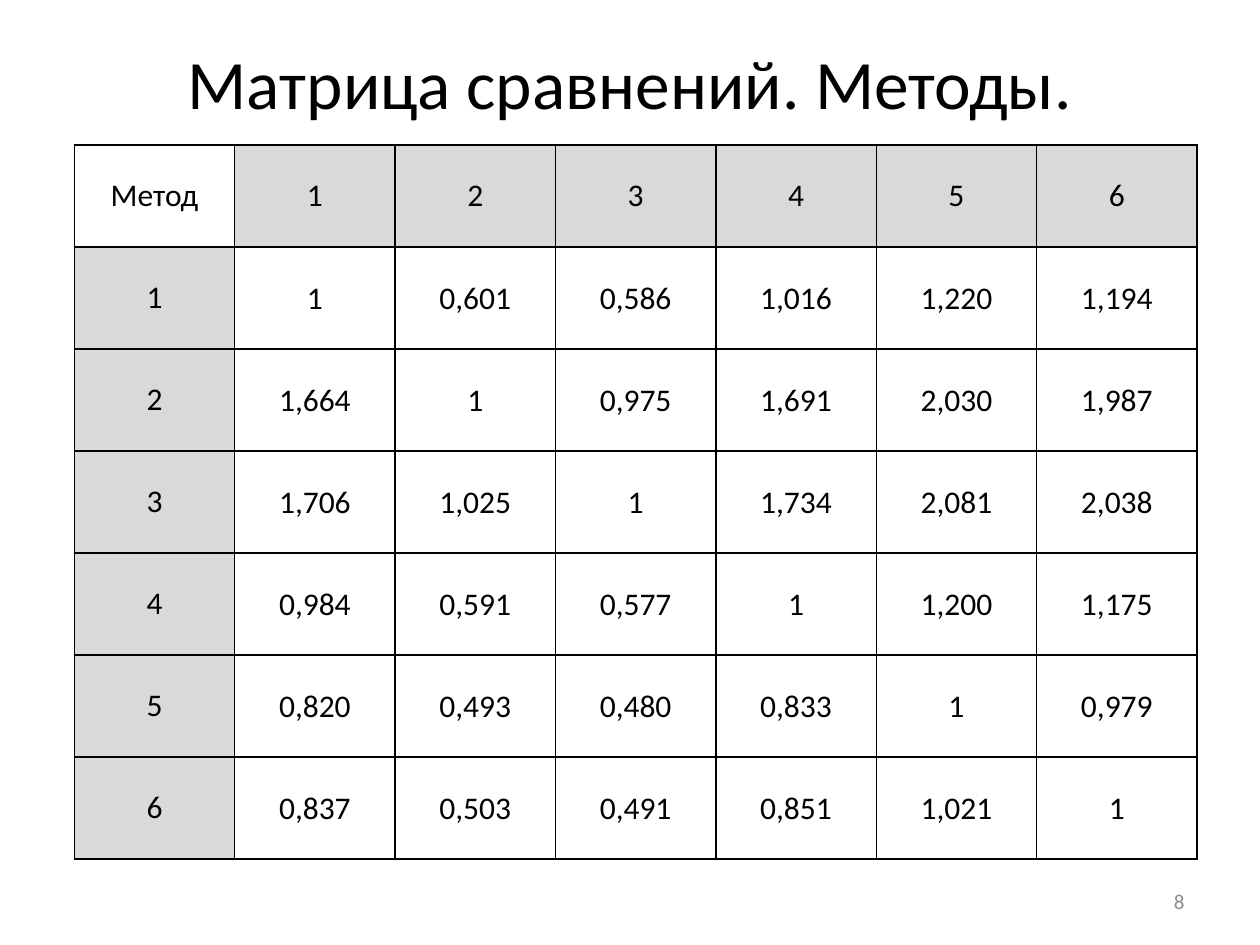
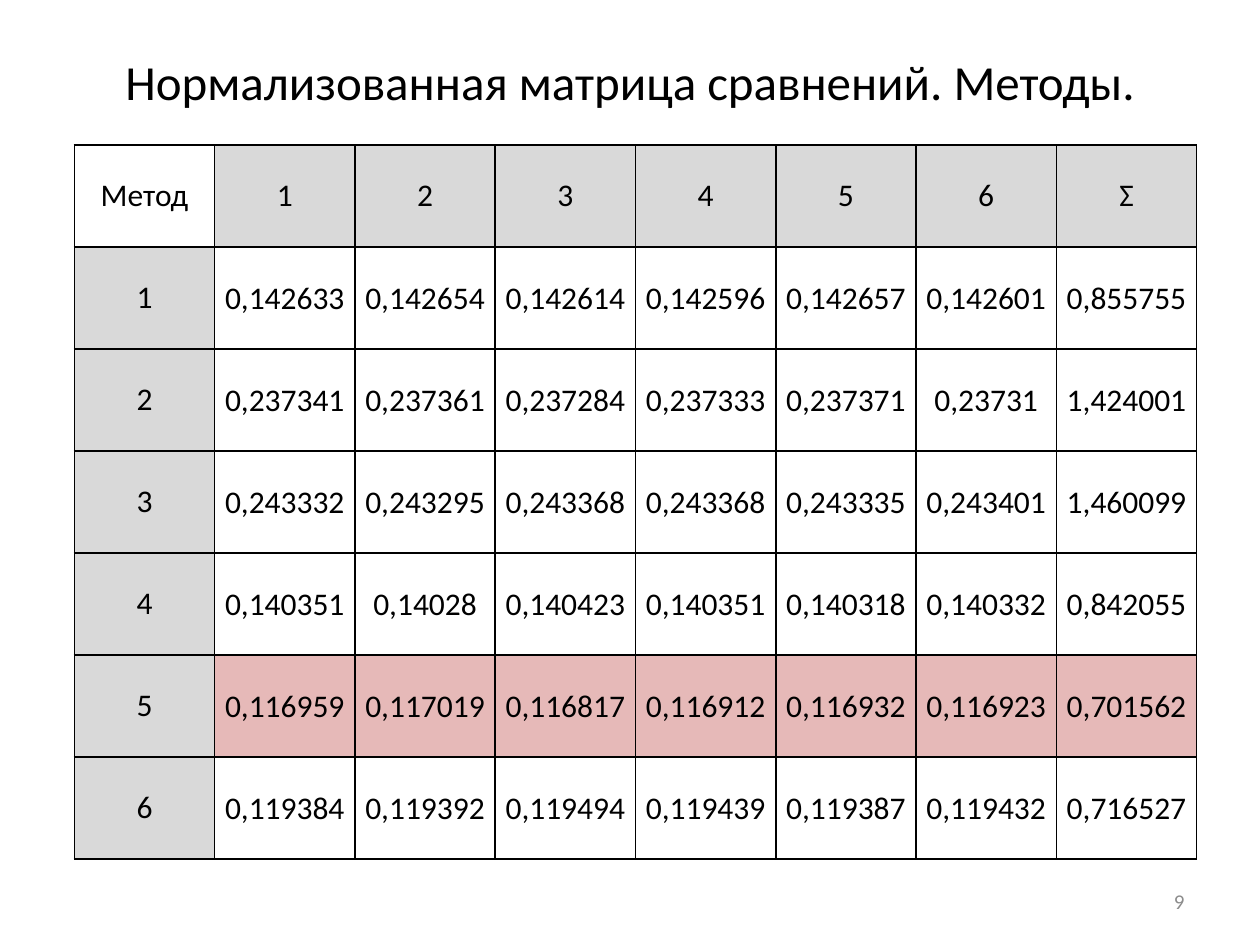
from dataclasses import dataclass
from typing import Optional

from lxml import etree
from pptx import Presentation
from pptx.dml.color import RGBColor
from pptx.enum.text import MSO_ANCHOR, PP_ALIGN
from pptx.oxml.ns import qn
from pptx.util import Inches, Pt

MIDDLE = MSO_ANCHOR.MIDDLE
CENTER, RIGHT = PP_ALIGN.CENTER, PP_ALIGN.RIGHT

SLIDE_WIDTH, SLIDE_HEIGHT = Inches(10), Inches(7.5)
BLANK_LAYOUT = 6
FONT = "Calibri"
BLACK, WHITE, GREY = "000000", "FFFFFF", "8C8C8C"
HEADER_FILL, HIGHLIGHT_FILL = "D9D9D9", "E6B9B8"
BORDER_SIDES = ("a:lnL", "a:lnR", "a:lnT", "a:lnB")
BORDER_WIDTH = Pt(1)
VALUE_MARGIN = Inches(0.01)


@dataclass(frozen=True)
class Frame:
    """A rectangle in percent of the slide's width and height."""
    left: float
    top: float
    width: float
    height: float

    def lengths(self) -> tuple[int, int, int, int]:
        return (
            round(SLIDE_WIDTH * self.left / 100),
            round(SLIDE_HEIGHT * self.top / 100),
            round(SLIDE_WIDTH * self.width / 100),
            round(SLIDE_HEIGHT * self.height / 100),
        )


@dataclass(frozen=True)
class TextStyle:
    size: float
    color: str = BLACK
    alignment: PP_ALIGN = CENTER


@dataclass(frozen=True)
class MatrixSlide:
    title: str
    title_size: float
    number: int
    columns: str
    rows: tuple[str, ...]
    highlighted_row: Optional[int] = None


TITLE_FRAME = Frame(5, 4, 90, 9.2)
MATRIX_FRAME = Frame(5.9, 15.33, 89.1, 75.6)
NUMBER_FRAME = Frame(71.7, 92.67, 23.3, 5.33)

CELL_STYLE = TextStyle(18)
NUMBER_STYLE = TextStyle(12, GREY, RIGHT)

MATRIX_SLIDES = (
    MatrixSlide(
        title="Матрица сравнений. Методы.",
        title_size=39.6,
        number=8,
        columns="1 2 3 4 5 6",
        rows=(
            "1 0,601 0,586 1,016 1,220 1,194",
            "1,664 1 0,975 1,691 2,030 1,987",
            "1,706 1,025 1 1,734 2,081 2,038",
            "0,984 0,591 0,577 1 1,200 1,175",
            "0,820 0,493 0,480 0,833 1 0,979",
            "0,837 0,503 0,491 0,851 1,021 1",
        ),
    ),
    MatrixSlide(
        title="Нормализованная матрица сравнений. Методы.",
        title_size=28,
        number=9,
        columns="1 2 3 4 5 6 Σ",
        rows=(
            "0,142633 0,142654 0,142614 0,142596 0,142657 0,142601 0,855755",
            "0,237341 0,237361 0,237284 0,237333 0,237371 0,23731 1,424001",
            "0,243332 0,243295 0,243368 0,243368 0,243335 0,243401 1,460099",
            "0,140351 0,14028 0,140423 0,140351 0,140318 0,140332 0,842055",
            "0,116959 0,117019 0,116817 0,116912 0,116932 0,116923 0,701562",
            "0,119384 0,119392 0,119494 0,119439 0,119387 0,119432 0,716527",
        ),
        highlighted_row=5,
    ),
)


def rgb(color: str) -> RGBColor:
    return RGBColor.from_string(color)


def write_text(text_frame, text: str, style: TextStyle) -> None:
    paragraph = text_frame.paragraphs[0]
    paragraph.alignment = style.alignment
    run = paragraph.add_run()
    run.text = text
    run.font.name = FONT
    run.font.size = Pt(style.size)
    run.font.color.rgb = rgb(style.color)


def add_text(slide, frame: Frame, text: str, style: TextStyle) -> None:
    text_frame = slide.shapes.add_textbox(*frame.lengths()).text_frame
    text_frame.word_wrap = True
    text_frame.vertical_anchor = MIDDLE
    write_text(text_frame, text, style)


def add_borders(cell) -> None:
    properties = cell._tc.get_or_add_tcPr()
    for side in BORDER_SIDES:
        line = etree.SubElement(properties, qn(side), w=str(BORDER_WIDTH))
        fill = etree.SubElement(line, qn("a:solidFill"))
        etree.SubElement(fill, qn("a:srgbClr"), val=BLACK)


def cell_fill(row: int, column: int, highlighted_row: Optional[int]) -> str:
    if (row == 0) != (column == 0):
        return HEADER_FILL
    if row and row == highlighted_row:
        return HIGHLIGHT_FILL
    return WHITE


def add_matrix(slide, matrix: MatrixSlide) -> None:
    header = ["Метод", *matrix.columns.split()]
    body = [[str(method), *values.split()] for method, values in enumerate(matrix.rows, 1)]
    grid = [header, *body]
    table = slide.shapes.add_table(len(grid), len(header), *MATRIX_FRAME.lengths()).table
    table.first_row = table.horz_banding = False

    for row, texts in enumerate(grid):
        for column, text in enumerate(texts):
            cell = table.cell(row, column)
            cell.vertical_anchor = MIDDLE
            if row and column:
                cell.margin_left = cell.margin_right = cell.margin_top = VALUE_MARGIN
                cell.margin_bottom = 0
            add_borders(cell)
            cell.fill.solid()
            cell.fill.fore_color.rgb = rgb(cell_fill(row, column, matrix.highlighted_row))
            write_text(cell.text_frame, text, CELL_STYLE)


def add_matrix_slide(presentation, matrix: MatrixSlide) -> None:
    slide = presentation.slides.add_slide(presentation.slide_layouts[BLANK_LAYOUT])
    add_text(slide, TITLE_FRAME, matrix.title, TextStyle(matrix.title_size))
    add_matrix(slide, matrix)
    add_text(slide, NUMBER_FRAME, str(matrix.number), NUMBER_STYLE)


def main() -> None:
    presentation = Presentation()
    presentation.slide_width = SLIDE_WIDTH
    presentation.slide_height = SLIDE_HEIGHT
    for matrix in MATRIX_SLIDES:
        add_matrix_slide(presentation, matrix)
    presentation.save("out.pptx")


if __name__ == "__main__":
    main()
